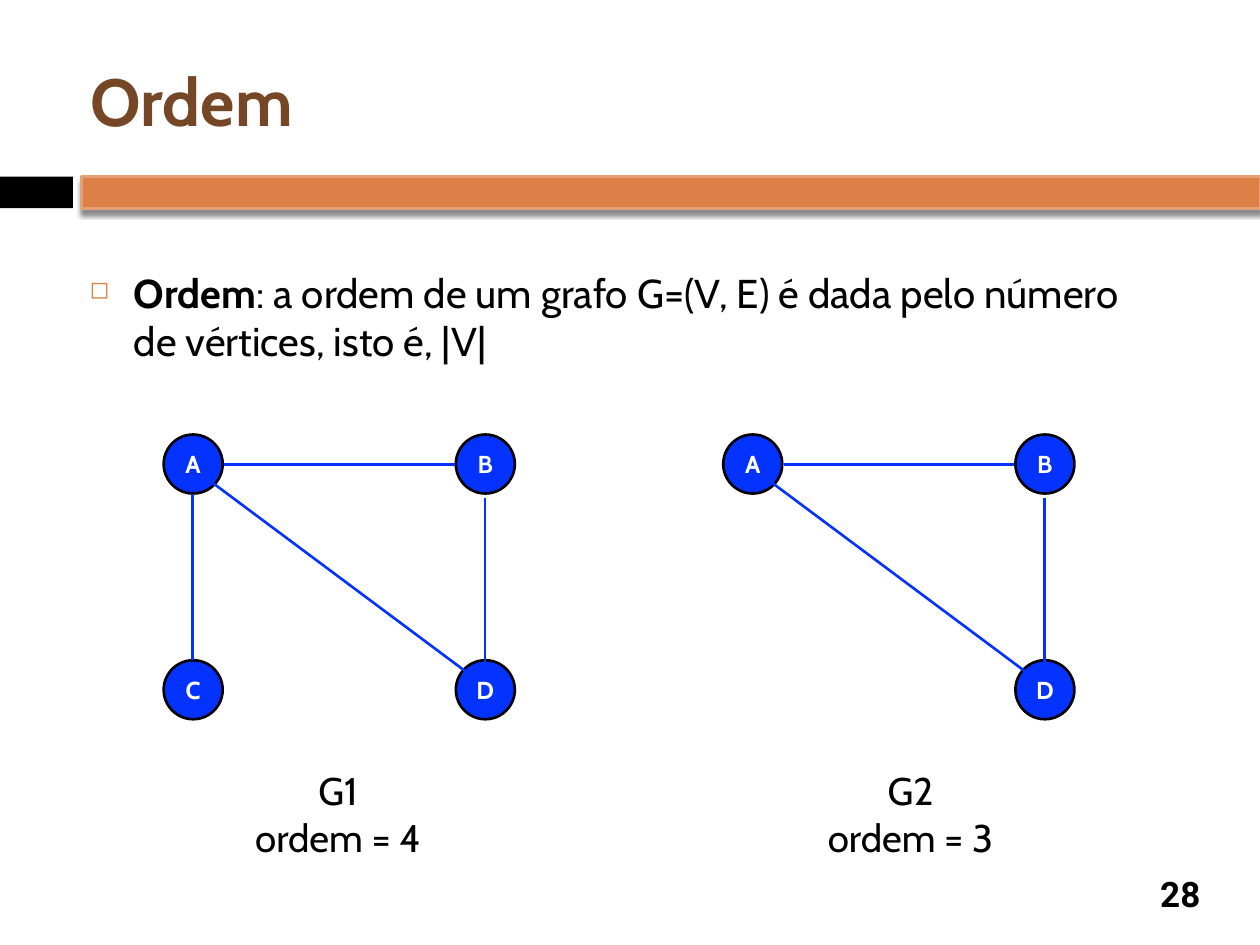
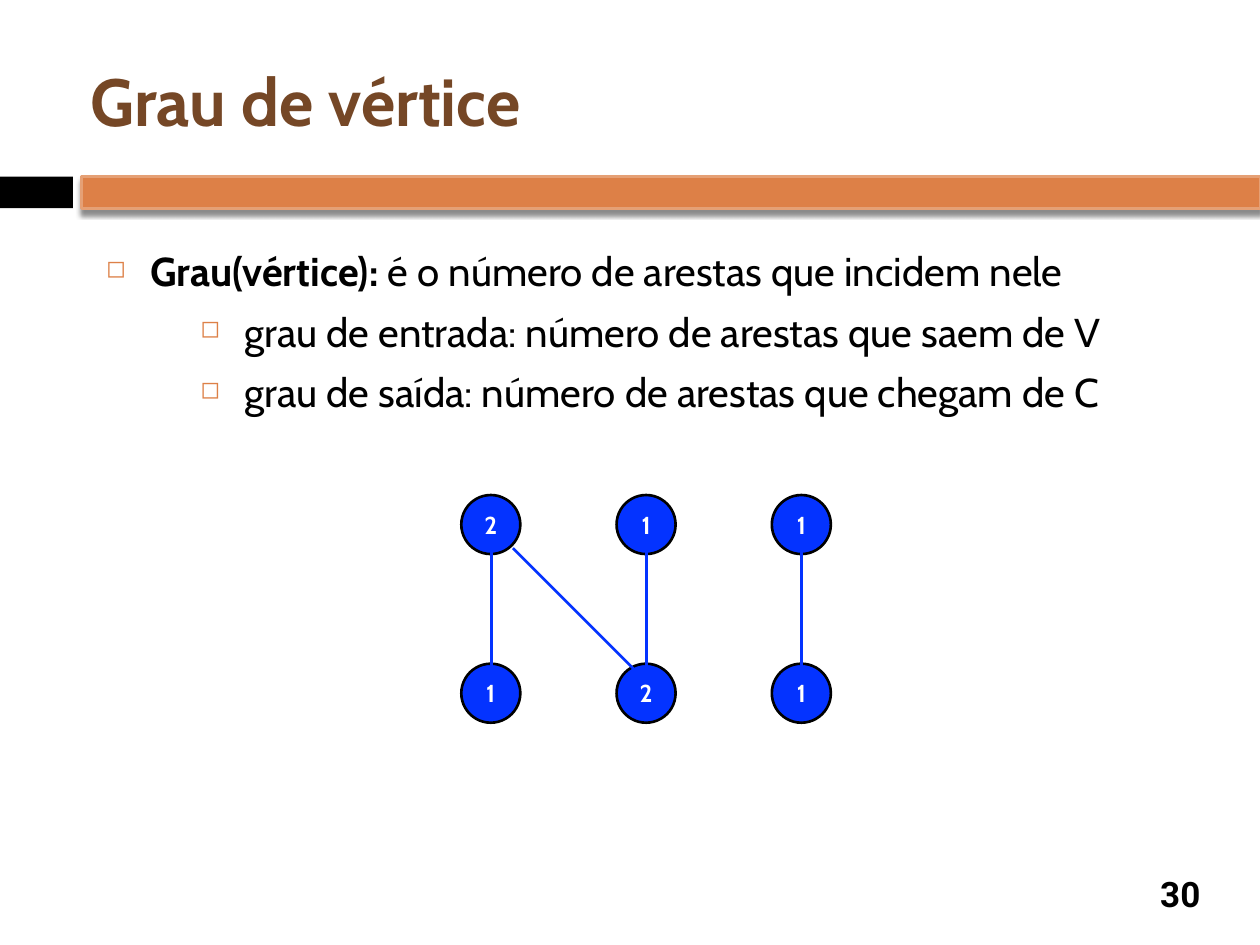
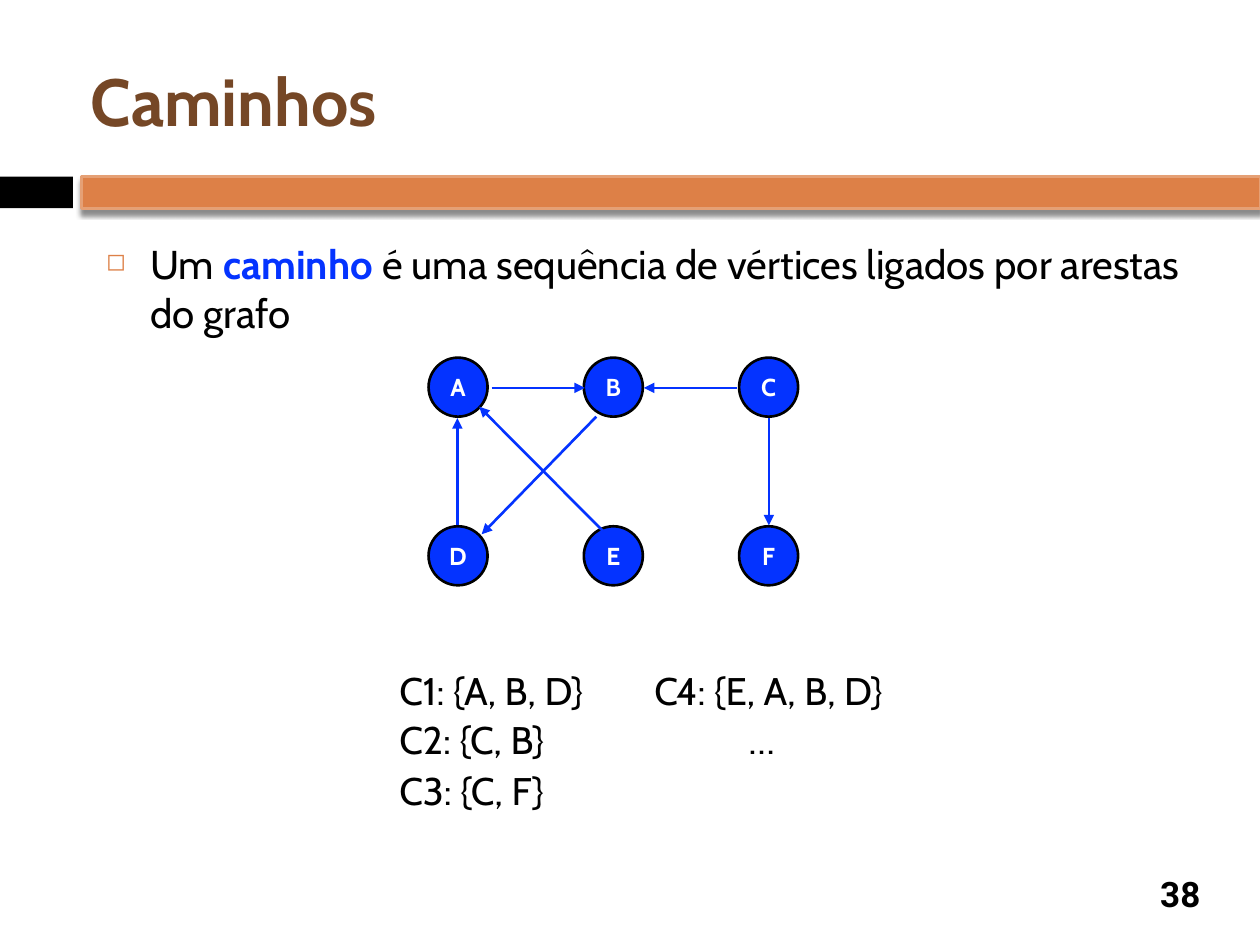
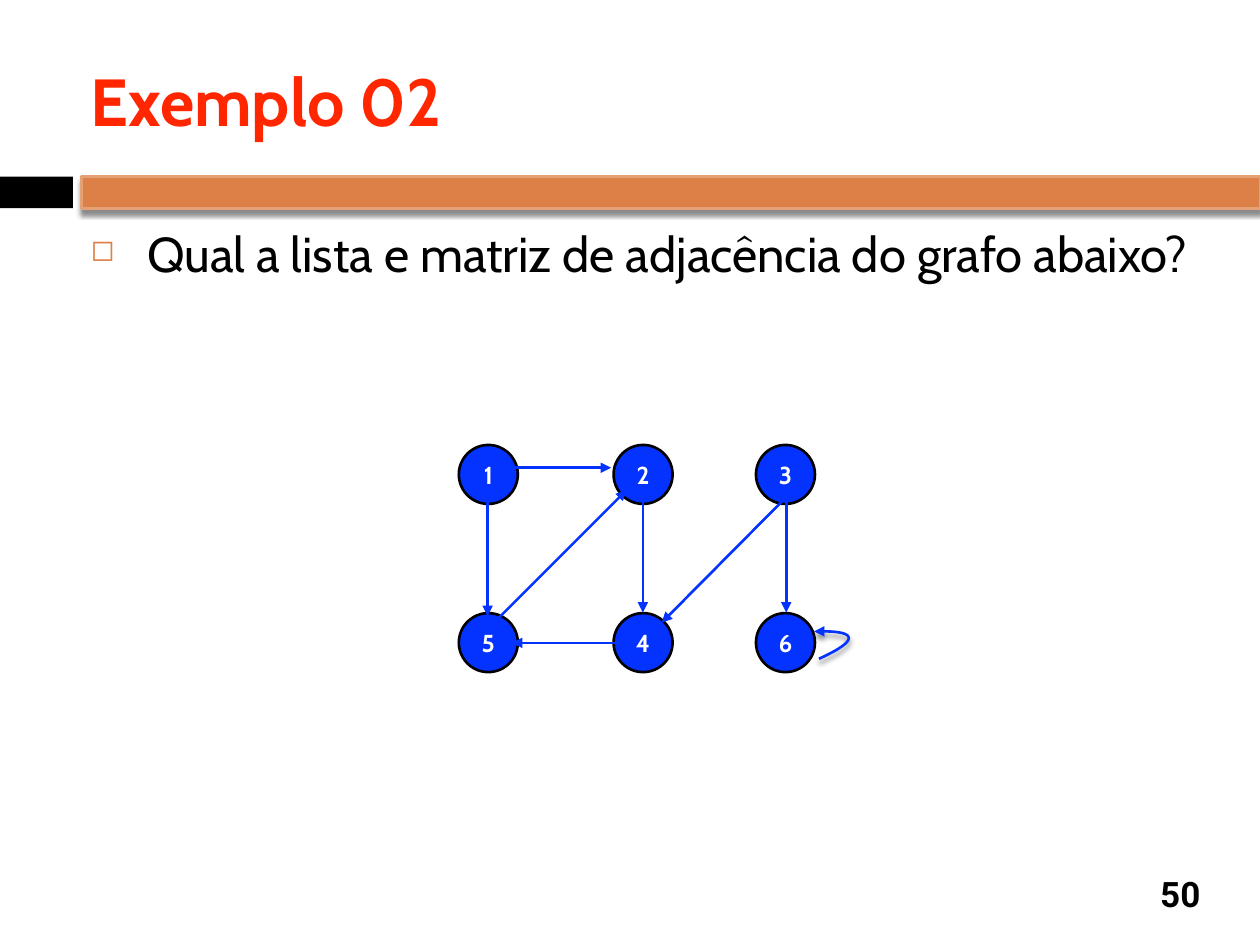
from dataclasses import dataclass

from lxml.etree import SubElement
from pptx import Presentation
from pptx.dml.color import RGBColor
from pptx.enum.shapes import MSO_CONNECTOR, MSO_SHAPE
from pptx.enum.text import MSO_ANCHOR, MSO_AUTO_SIZE, PP_ALIGN
from pptx.oxml.ns import qn
from pptx.util import Cm, Pt

BLACK = RGBColor(0x00, 0x00, 0x00)
WHITE = RGBColor(0xFF, 0xFF, 0xFF)
ORANGE = RGBColor(0xDD, 0x80, 0x47)
PEACH = RGBColor(0xE5, 0xA0, 0x75)
BROWN = RGBColor(0x75, 0x47, 0x26)
BLUE = RGBColor(0x04, 0x33, 0xFF)
RED = RGBColor(0xFF, 0x26, 0x00)

FONT = "Cabin"
INSET = 0.13
DROP = 1.36
NODE = 1.19
STROKE = 1.5


@dataclass(frozen=True)
class Run:
    text: str
    bold: bool = False
    color: RGBColor = BLACK


@dataclass(frozen=True)
class Item:
    runs: tuple[Run, ...]
    left: float = 0.89
    hang: float = 0.89
    level: int = 0


@dataclass(frozen=True)
class Box:
    x: float
    y: float
    w: float
    h: float

    def size(self) -> tuple[Cm, Cm, Cm, Cm]:
        return Cm(self.x), Cm(self.y), Cm(self.w), Cm(self.h)


@dataclass(frozen=True)
class Edge:
    x1: float
    y1: float
    x2: float
    y2: float


@dataclass(frozen=True)
class Graph:
    x: float
    y: float
    cols: tuple[float, ...]
    drop: float
    rows: tuple[str, str]
    edges: tuple[Edge, ...]
    arrows: bool = False


TITLE = Box(1.7, 0.64, 22.66, 2.74)
PAGE = Box(23.06, 17.5, 1.47, 1.04)
BLOCK = Box(0, 3.56, 1.47, 0.64)
BAND = Box(1.65, 3.56, 23.75, 0.64)

WIDE = (0, 5.89)
EVEN = (0, 3.13, 6.26)
SHIFT = 11.28
SHARED = (
    Edge(1.22, 0.61, 5.87, 0.61),
    Edge(6.48, 1.27, 6.48, 4.62),
    Edge(0.94, 0.94, 6.12, 4.8),
)
ORDERS = (
    Graph(3.3, 8.76, WIDE, 4.55, ("AB", "CD"), SHARED + (Edge(0.58, 1.19, 0.58, 4.55),)),
    Graph(3.3 + SHIFT, 8.76, WIDE, 4.55, ("AB", " D"), SHARED),
)
DEGREES = Graph(9.3, 9.98, EVEN, 3.4, ("211", "121"), (
    Edge(0.61, 3.68, 0.61, 1.07),
    Edge(1.04, 1.07, 3.63, 3.66),
    Edge(3.73, 3.48, 3.73, 0.84),
    Edge(6.86, 3.76, 6.86, 1.12),
))
PATHS = Graph(8.64, 7.21, EVEN, 3.4, ("ABC", "DEF"), (
    Edge(1.27, 0.61, 3.15, 0.61),
    Edge(0.58, 3.38, 0.58, 1.22),
    Edge(6.86, 1.22, 6.86, 3.38),
    Edge(3.38, 1.19, 1.07, 3.56),
    Edge(3.63, 3.61, 1.02, 0.99),
    Edge(6.22, 0.61, 4.34, 0.61),
), True)
SAMPLE = Graph(9.25, 8.97, (0, 3.12, 5.99), 3.39, ("123", "546"), (
    Edge(0.58, 0.81, 0.58, 3.45),
    Edge(3.71, 1.09, 3.71, 3.38),
    Edge(1.07, 0.46, 3.07, 0.46),
    Edge(6.71, 0.94, 4.09, 3.58),
    Edge(3.43, 3.99, 1.07, 3.99),
    Edge(0.76, 3.53, 3.38, 0.91),
    Edge(6.6, 1.09, 6.6, 3.38),
), True)
LOOP = ((16.51, 13.28), (17.35, 12.9), (17.3, 12.7), (16.41, 12.73))
LISTS = (
    ("C1: {A, B, D}", Box(7.92, 13.31, 4.14, 1.09)),
    ("C2: {C, B}", Box(7.92, 14.3, 3.33, 1.09)),
    ("C3: {C, F}", Box(7.92, 15.34, 3.28, 1.09)),
    ("C4: {E, A, B, D}", Box(13.06, 13.31, 4.88, 1.09)),
    ("…", Box(14.96, 14.3, 1.07, 1.09)),
)


def plain(text: str, bold: bool = False, color: RGBColor = BLACK) -> Item:
    return Item((Run(text, bold, color),), 0, 0)


def mark(para) -> None:
    props = para._p.get_or_add_pPr()
    tint = SubElement(props, qn("a:buClr"))
    SubElement(tint, qn("a:srgbClr"), val=str(ORANGE))
    SubElement(props, qn("a:buSzPct"), val="60000")
    SubElement(props, qn("a:buChar"), char="◻")


def write(shape, items, *, size: float, font: str = FONT, align=PP_ALIGN.LEFT,
          anchor=MSO_ANCHOR.TOP, top: float = INSET, wrap: bool = True) -> None:
    frame = shape.text_frame
    frame.word_wrap = wrap
    frame.auto_size = MSO_AUTO_SIZE.NONE if wrap else MSO_AUTO_SIZE.SHAPE_TO_FIT_TEXT
    frame.vertical_anchor = anchor
    frame.margin_left = frame.margin_right = frame.margin_bottom = Cm(INSET)
    frame.margin_top = Cm(top)
    for i, item in enumerate(items):
        para = frame.add_paragraph() if i else frame.paragraphs[0]
        para.alignment = align
        para.level = item.level
        if item.hang:
            para.space_before = Pt(7 if i else 0)
            props = para._p.get_or_add_pPr()
            props.set("marL", str(Cm(item.left)))
            props.set("indent", str(-Cm(item.hang)))
            mark(para)
        for part in item.runs:
            run = para.add_run()
            run.text = part.text
            run.font.name = font
            run.font.size = Pt(size)
            run.font.bold = part.bold
            run.font.color.rgb = part.color


def label(slide, box: Box, items, **form) -> None:
    write(slide.shapes.add_textbox(*box.size()), items, **form)


def solid(slide, kind, box: Box, fill: RGBColor, line: RGBColor | None = None):
    shape = slide.shapes.add_shape(kind, *box.size())
    shape.shadow.inherit = False
    shape.fill.solid()
    shape.fill.fore_color.rgb = fill
    if line is None:
        shape.line.fill.background()
    else:
        shape.line.color.rgb = line
        shape.line.width = Pt(STROKE)
    return shape


def shade(shape) -> None:
    shape.shadow.inherit = False
    glow = shape.element.spPr.find(qn("a:effectLst"))
    drop = SubElement(glow, qn("a:outerShdw"), blurRad=str(Pt(3)), dist=str(Pt(2.4)),
                      dir="5400000", algn="ctr", rotWithShape="0")
    tint = SubElement(drop, qn("a:srgbClr"), val=str(BLACK))
    SubElement(tint, qn("a:alpha"), val="45000")


def ink(shape, arrow: bool) -> None:
    shape.line.color.rgb = BLUE
    shape.line.width = Pt(STROKE)
    if arrow:
        SubElement(shape.element.spPr.find(qn("a:ln")), qn("a:tailEnd"), type="triangle")


def draw(slide, graph: Graph) -> None:
    for row, names in enumerate(graph.rows):
        for col, name in zip(graph.cols, names):
            if name == " ":
                continue
            box = Box(graph.x + col, graph.y + row * graph.drop, NODE, NODE)
            node = solid(slide, MSO_SHAPE.OVAL, box, BLUE, BLACK)
            write(node, [plain(name, True, WHITE)], size=14,
                  align=PP_ALIGN.CENTER, anchor=MSO_ANCHOR.MIDDLE)
    for edge in graph.edges:
        line = slide.shapes.add_connector(
            MSO_CONNECTOR.STRAIGHT,
            Cm(graph.x + edge.x1), Cm(graph.y + edge.y1),
            Cm(graph.x + edge.x2), Cm(graph.y + edge.y2))
        ink(line, graph.arrows)
        SubElement(line.element.spPr, qn("a:effectLst"))


def curve(slide, ends, steps: int = 24) -> None:
    spots = []
    for i in range(steps + 1):
        t = i / steps
        rates = ((1 - t) ** 3, 3 * t * (1 - t) ** 2, 3 * t * t * (1 - t), t ** 3)
        spots.append(tuple(Cm(sum(r * p[k] for r, p in zip(rates, ends))) for k in (0, 1)))
    form = slide.shapes.build_freeform(*spots[0])
    form.add_line_segments(spots[1:], close=False)
    shape = form.convert_to_shape()
    shape.fill.background()
    ink(shape, True)
    shade(shape)


def start(deck, title: str, page: int, color: RGBColor = BROWN):
    slide = deck.slides.add_slide(deck.slide_layouts[6])
    solid(slide, MSO_SHAPE.RECTANGLE, BLOCK, BLACK)
    shade(solid(slide, MSO_SHAPE.RECTANGLE, BAND, ORANGE, PEACH))
    label(slide, TITLE, [plain(title, True, color)], size=38, anchor=MSO_ANCHOR.MIDDLE)
    label(slide, PAGE, [plain(str(page), True)], size=20, font="Roboto",
          align=PP_ALIGN.CENTER, anchor=MSO_ANCHOR.MIDDLE)
    return slide


def order(deck) -> None:
    slide = start(deck, "Ordem", 28)
    label(slide, Box(1.68, 4.04, 22.05, 4.32), [Item((
        Run("Ordem", True),
        Run(": a ordem de um grafo G=(V, E) é dada pelo número de vértices, isto é, |V|"),
    ))], size=23, top=DROP)
    for graph, x, name, count in zip(ORDERS, (5, 16.54), ("G1", "G2"), (4, 3)):
        draw(slide, graph)
        label(slide, Box(x, 15.34, 3.63, 1.96), [plain(name), plain(f"ordem = {count}")],
              size=22, align=PP_ALIGN.CENTER, wrap=False)


def degree(deck) -> None:
    slide = start(deck, "Grau de vértice", 30)
    label(slide, Box(2.01, 3.61, 22.05, 5.03), [
        Item((Run("Grau(vértice): ", True), Run("é o número de arestas que incidem nele"))),
        Item((Run("grau de entrada: número de arestas que saem de V"),), left=2.79, level=1),
        Item((Run("grau de saída: número de arestas que chegam de C"),), left=2.79, level=1),
    ], size=23, top=DROP)
    draw(slide, DEGREES)


def walks(deck) -> None:
    slide = start(deck, "Caminhos", 38)
    label(slide, Box(2.01, 4.7, 22.05, 3.99), [Item((
        Run("Um "),
        Run("caminho", True, BLUE),
        Run(" é uma sequência de vértices ligados por arestas do grafo"),
    ))], size=23)
    draw(slide, PATHS)
    for text, box in LISTS:
        label(slide, box, [plain(text)], size=22, wrap=False)


def sample(deck) -> None:
    slide = start(deck, "Exemplo 02", 50, RED)
    label(slide, Box(1.7, 4.37, 22.66, 2.74), [Item(
        (Run("Qual a lista e matriz de adjacência do grafo abaixo?"),), 1.14, 1.14,
    )], size=28)
    draw(slide, SAMPLE)
    curve(slide, LOOP)


def main() -> None:
    deck = Presentation()
    deck.slide_width, deck.slide_height = Cm(25.4), Cm(19.05)
    for build in (order, degree, walks, sample):
        build(deck)
    deck.save("out.pptx")


if __name__ == "__main__":
    main()
